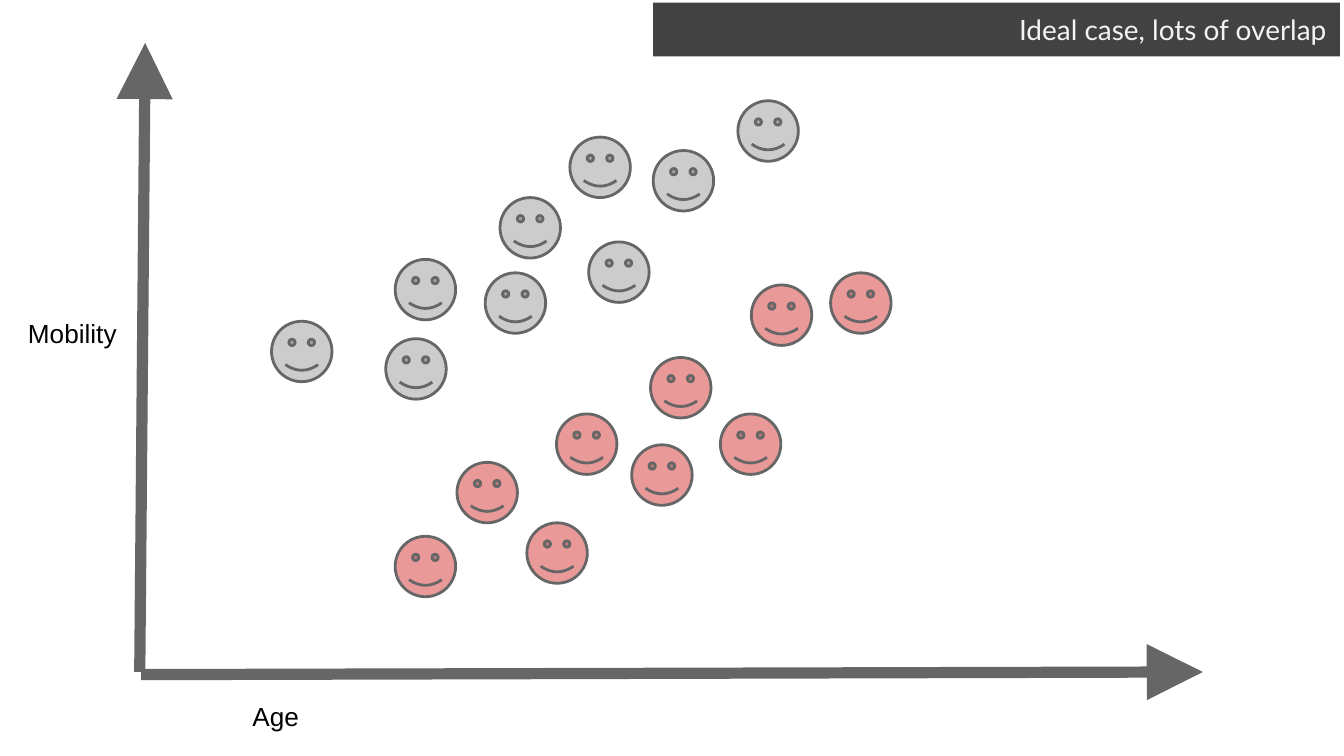
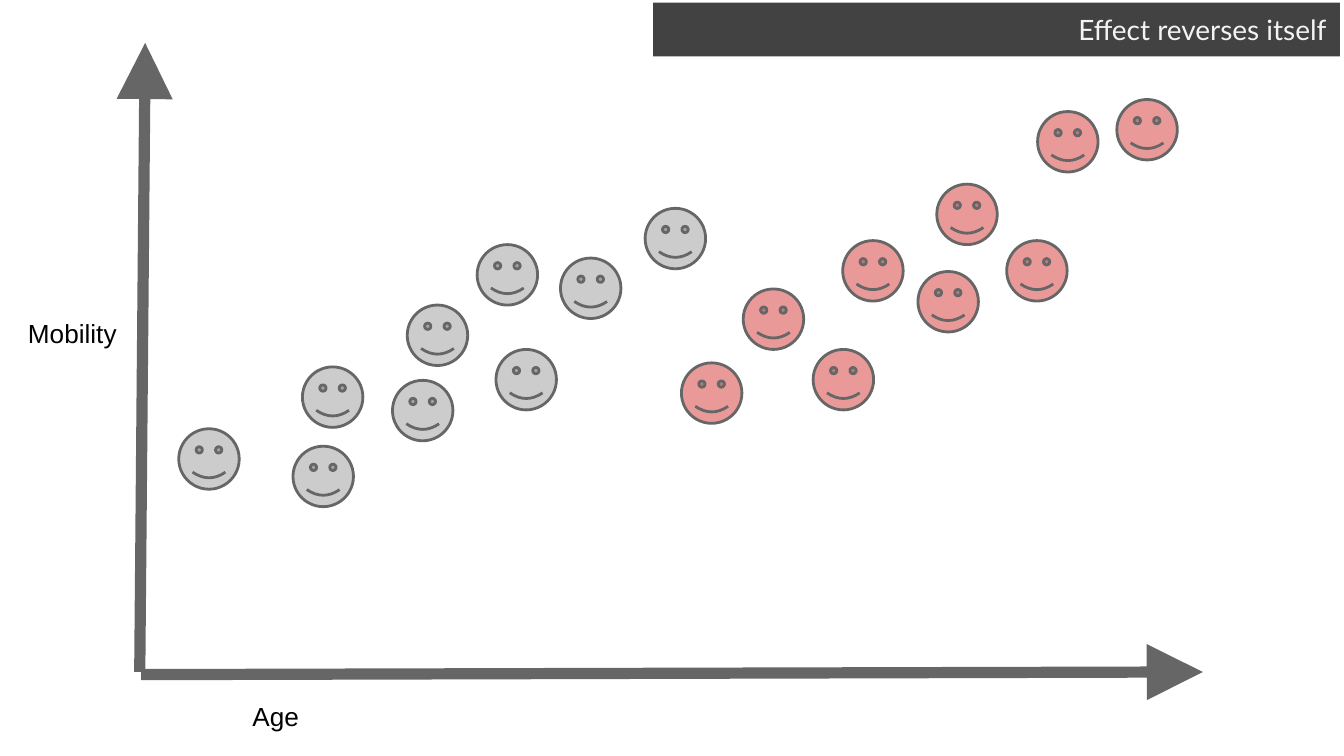
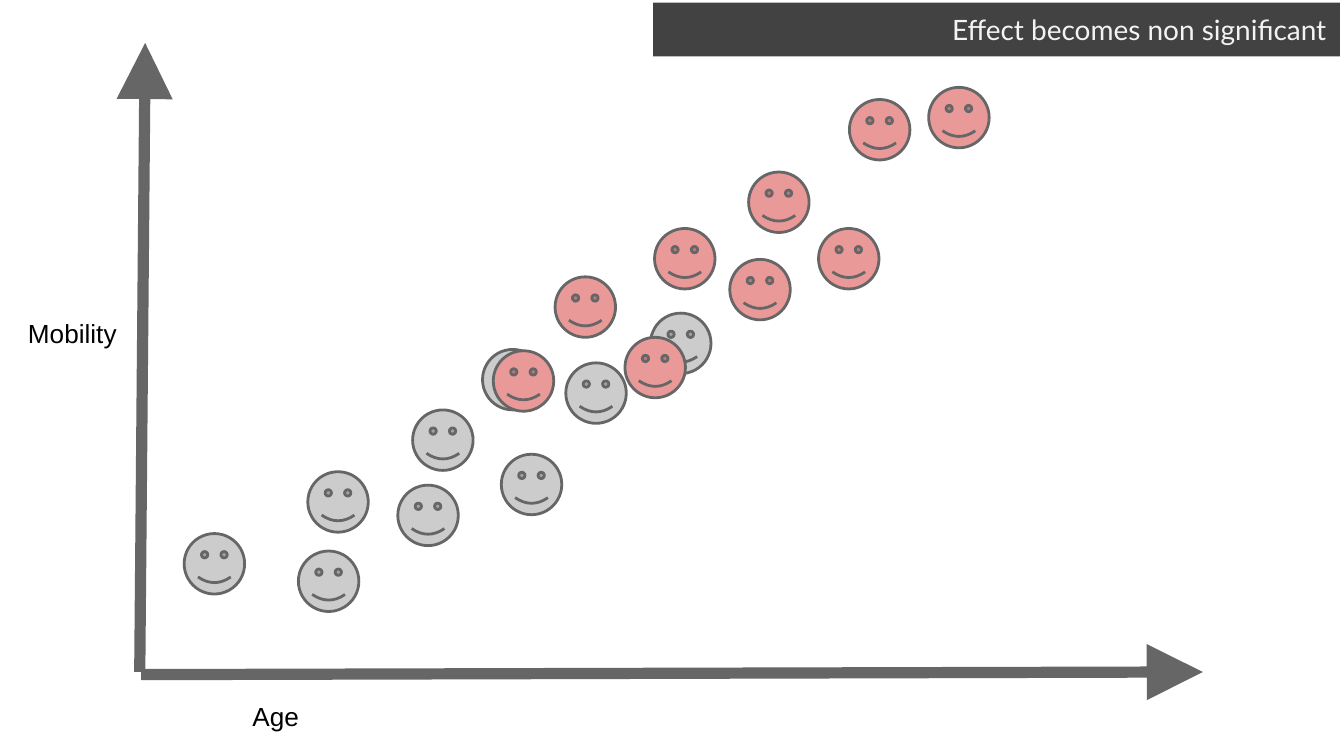
from typing import NamedTuple

from lxml import etree
from pptx import Presentation
from pptx.dml.color import RGBColor
from pptx.enum import shapes, text
from pptx.oxml.ns import qn
from pptx.util import Inches, Pt

BLACK = RGBColor(0x00, 0x00, 0x00)
OFF_WHITE = RGBColor(0xF3, 0xF3, 0xF3)
DARK_GREY = RGBColor(0x66, 0x66, 0x66)
LIGHT_GREY = RGBColor(0xCC, 0xCC, 0xCC)
PINK = RGBColor(0xEA, 0x99, 0x99)

FACE_SIZE = 0.45
BAND_OPACITY = 74


class Point(NamedTuple):
    x: float
    y: float


class Cluster(NamedTuple):
    color: RGBColor
    offsets: list[Point]  # each face relative to the first one


class Scenario(NamedTuple):
    title: str
    grey_start: Point
    pink_start: Point
    grouped: bool = True


class Axis(NamedTuple):
    start: Point
    end: Point


class Label(NamedTuple):
    name: str
    left: float
    top: float
    width: float


GREY_CLUSTER = Cluster(LIGHT_GREY, [
    Point(0, 0), Point(0.85, 0.13), Point(1.59, -0.36),
    Point(0.92, -0.46), Point(1.7, -0.92), Point(2.22, -1.37),
    Point(2.84, -1.27), Point(2.36, -0.59), Point(3.47, -1.64),
])
PINK_CLUSTER = Cluster(PINK, [
    Point(0, 0), Point(0.14, -0.65), Point(1.48, -1.28),
    Point(0.89, -1.19), Point(-0.78, 0.58), Point(-0.56, -0.23),
    Point(0.66, -0.23), Point(-1.76, 0.68), Point(-1.3, 0.13),
])
SCENARIOS = [
    Scenario("Ideal case, lots of overlap", Point(2.02, 2.39), Point(4.7, 3.31), grouped=False),
    Scenario("Effect reverses itself", Point(1.33, 3.19), Point(6.83, 2.02)),
    Scenario("Effect becomes non significant", Point(1.37, 3.97), Point(5.43, 1.93)),
]
AXES = [Axis(Point(1.04, 5), Point(1.08, 0.32)), Axis(Point(1.05, 5.02), Point(8.95, 5))]
LABELS = [Label("Age", 1.78, 5.11, 6.89), Label("Mobility", 0.11, 2.26, 0.94)]


def write(sp, words: str, *, size: float, font: str, color: RGBColor,
          align=text.PP_ALIGN.LEFT, anchor=text.MSO_ANCHOR.TOP) -> None:
    tf = sp.text_frame
    tf.word_wrap = True
    tf.vertical_anchor = anchor
    tf.margin_left = tf.margin_right = tf.margin_top = tf.margin_bottom = Inches(0.1)
    p = tf.paragraphs[0]
    p.alignment = align
    r = p.add_run()
    r.text = words
    r.font.size = Pt(size)
    r.font.name = font
    r.font.color.rgb = color


def add_title_band(s, title: str) -> None:
    sp = s.shapes.add_shape(shapes.MSO_SHAPE.RECTANGLE,
                            Inches(4.86), Inches(0.02), Inches(5.11), Inches(0.4))
    sp.shadow.inherit = False
    sp.fill.solid()
    sp.fill.fore_color.rgb = BLACK
    sp.line.fill.background()
    clr = sp._element.spPr.find(qn("a:solidFill")).find(qn("a:srgbClr"))
    etree.SubElement(clr, qn("a:alpha")).set("val", str(BAND_OPACITY * 1000))
    write(sp, title, size=15, font="Lato", color=OFF_WHITE,
          align=text.PP_ALIGN.RIGHT, anchor=text.MSO_ANCHOR.MIDDLE)


def add_cluster(s, cluster: Cluster, start: Point, grouped: bool) -> None:
    parent = s.shapes.add_group_shape().shapes if grouped else s.shapes
    for dx, dy in cluster.offsets:
        sp = parent.add_shape(shapes.MSO_SHAPE.SMILEY_FACE,
                              Inches(start.x + dx), Inches(start.y + dy),
                              Inches(FACE_SIZE), Inches(FACE_SIZE))
        sp.shadow.inherit = False
        sp.fill.solid()
        sp.fill.fore_color.rgb = cluster.color
        sp.line.color.rgb = DARK_GREY
        sp.line.width = Pt(1.5)


def add_axis(s, axis: Axis) -> None:
    cn = s.shapes.add_connector(shapes.MSO_CONNECTOR.STRAIGHT,
                                Inches(axis.start.x), Inches(axis.start.y),
                                Inches(axis.end.x), Inches(axis.end.y))
    cn.line.color.rgb = DARK_GREY
    cn.line.width = Pt(6)
    sp_pr = cn._element.spPr
    etree.SubElement(sp_pr.find(qn("a:ln")), qn("a:tailEnd"), type="triangle", w="lg", len="lg")
    etree.SubElement(sp_pr, qn("a:effectLst"))


def add_label(s, label: Label) -> None:
    sp = s.shapes.add_textbox(Inches(label.left), Inches(label.top),
                              Inches(label.width), Inches(0.8))
    write(sp, label.name, size=14, font="Arial", color=BLACK)


def add_scenario(prs, scenario: Scenario) -> None:
    s = prs.slides.add_slide(prs.slide_layouts[6])
    add_title_band(s, scenario.title)
    add_cluster(s, GREY_CLUSTER, scenario.grey_start, scenario.grouped)
    add_cluster(s, PINK_CLUSTER, scenario.pink_start, scenario.grouped)
    for axis in AXES:
        add_axis(s, axis)
    for label in LABELS:
        add_label(s, label)


def main() -> None:
    prs = Presentation()
    prs.slide_width = Inches(10)
    prs.slide_height = prs.slide_width * 9 // 16
    for scenario in SCENARIOS:
        add_scenario(prs, scenario)
    prs.save("out.pptx")


if __name__ == "__main__":
    main()
